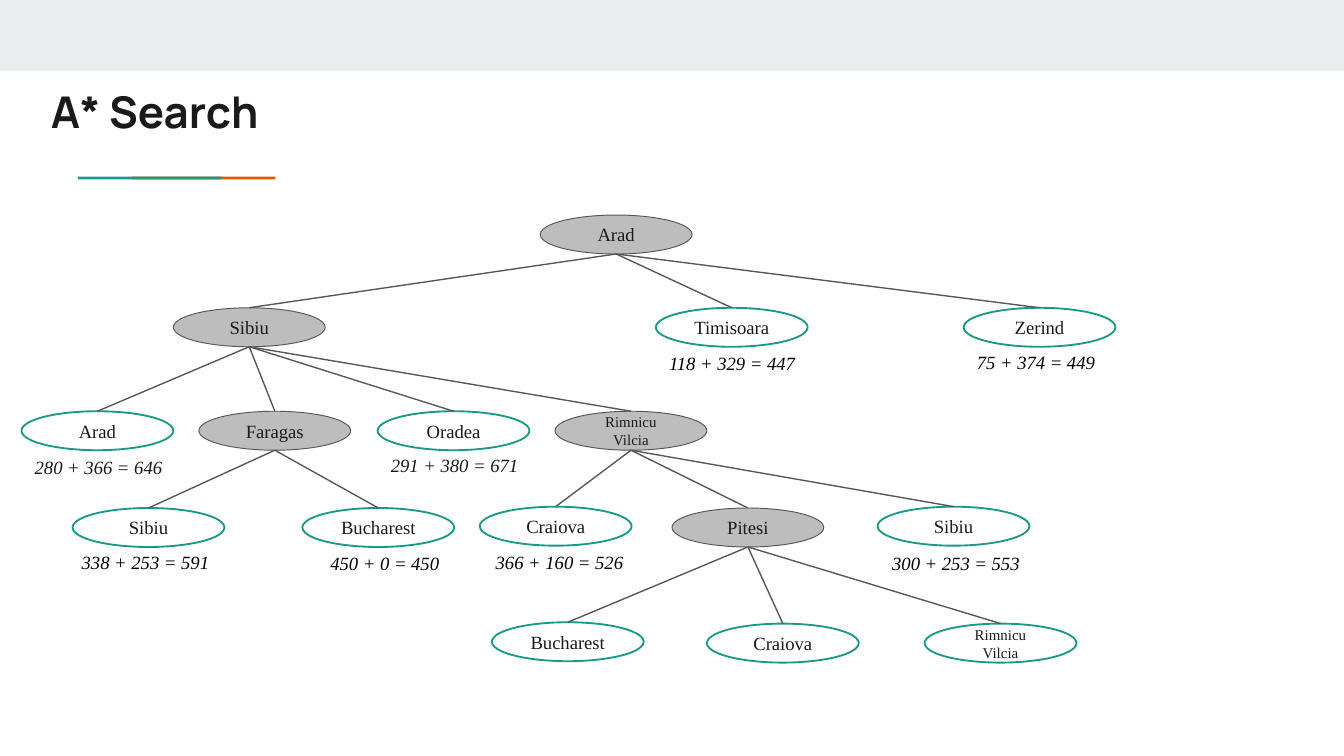
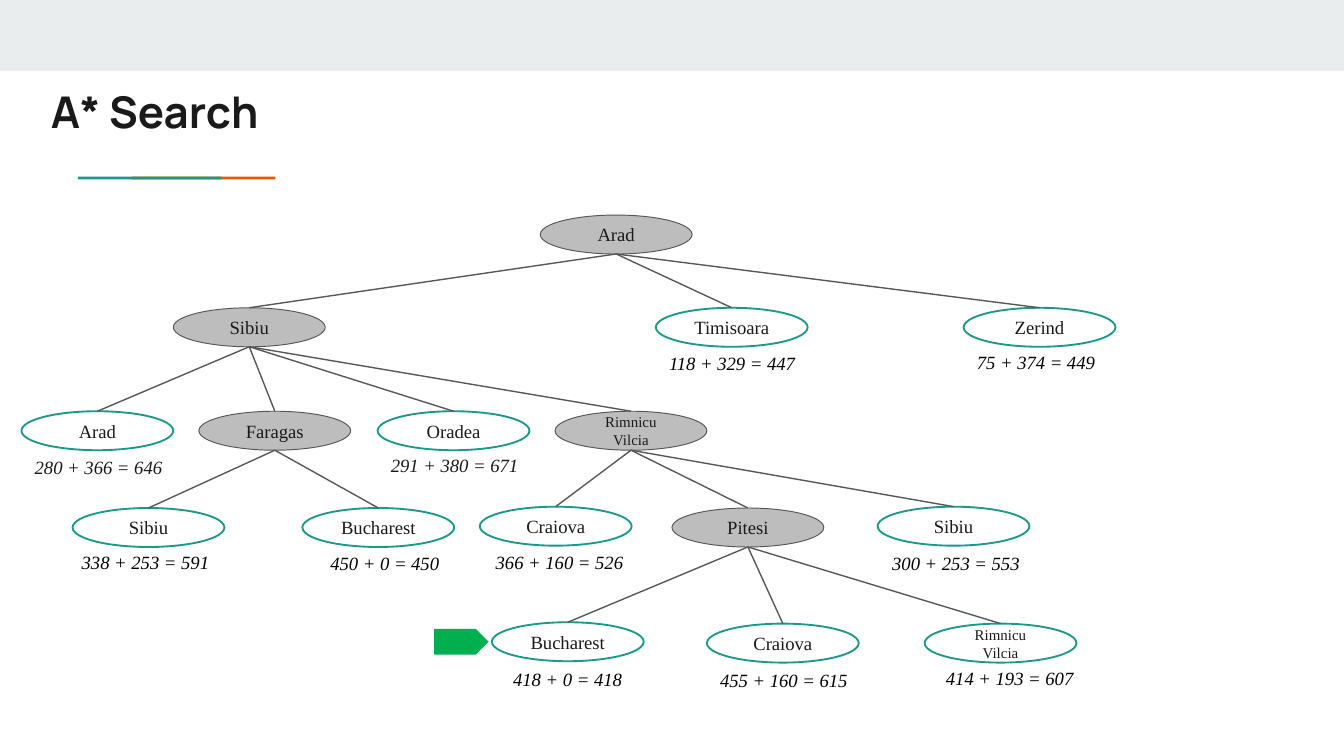
from dataclasses import dataclass

from lxml.etree import SubElement
from pptx import Presentation
from pptx.dml.color import RGBColor
from pptx.enum.shapes import MSO_CONNECTOR, MSO_SHAPE
from pptx.enum.text import MSO_ANCHOR as Anchor, PP_ALIGN as Align
from pptx.oxml.ns import qn
from pptx.util import Inches, Pt

# The grid has 100 square cells across the slide
SLIDE_WIDTH = Inches(10)
SLIDE_HEIGHT = SLIDE_WIDTH * 9 // 16
CELL = SLIDE_WIDTH // 100

INK, BLACK, GRAY, EDGE = "1A1A1A", "000000", "BDBDBD", "575757"
TEAL, ORANGE, GREEN, BAND = "1A9988", "EB5600", "00B050", "E9EDEE"
TITLE_FONT, TREE_FONT = "Manrope", "Times New Roman"

# Boxes are left, top, width, height in cells
HEADER_BOX = (0, 0, 100, 15)
TREE_BOX = (1.6, 16, 81.4, 36)
NODE_WIDTH, NODE_HEIGHT = 11.3, 2.9


@dataclass
class Cost:
    text: str
    shift: float  # from the left of the node
    drop: float  # from the top of the node
    width: float = 14.3
    color: str = BLACK


@dataclass
class Node:
    name: str
    column: float
    row: float
    cost: Cost = None
    children: tuple = ()
    final: bool = False  # cost is shown only once the search is finished
    goal: bool = False


PITESI = Node("Pitesi", 48.4, 21.8, children=(
    Node("Bucharest", 35, 30.3, Cost("418 + 0 = 418", 0.6, 2.9), final=True, goal=True),
    Node("Craiova", 51, 30.4, Cost("455 + 160 = 615", 0, 2.9), final=True),
    Node("Rimnicu\nVilcia", 67.2, 30.4, Cost("414 + 193 = 607", 0.6, 2.7), final=True),
))
RIMNICU = Node("Rimnicu\nVilcia", 39.7, 14.6, children=(
    Node("Craiova", 34.1, 21.7, Cost("366 + 160 = 526", 0.2, 2.8)),
    PITESI,
    Node("Sibiu", 63.7, 21.7, Cost("300 + 253 = 553", 0.1, 2.9)),
))
FARAGAS = Node("Faragas", 13.2, 14.6, children=(
    Node("Sibiu", 3.8, 21.8, Cost("338 + 253 = 591", -0.3, 2.7)),
    Node("Bucharest", 20.9, 21.8, Cost("450 + 0 = 450", 1.1, 2.8)),
))
SIBIU = Node("Sibiu", 11.3, 6.9, children=(
    Node("Arad", 0, 14.6, Cost("280 + 366 = 646", 0, 2.8, 13.8, INK)),
    FARAGAS,
    Node("Oradea", 26.5, 14.6, Cost("291 + 380 = 671", 0, 2.7, 14, INK)),
    RIMNICU,
))
ARAD = Node("Arad", 38.6, 0, children=(
    SIBIU,
    Node("Timisoara", 47.2, 6.9, Cost("118 + 329 = 447", 0, 2.8)),
    Node("Zerind", 70.1, 6.9, Cost("75 + 374 = 449", 0, 2.7, 13)),
))


def rgb(color):
    return RGBColor.from_string(color)


def place(box, *cells):
    """Turn cells relative to a box into slide lengths: left, top, then sizes."""
    left, top, *sizes = cells
    return [round(value * CELL) for value in (box[0] + left, box[1] + top, *sizes)]


def add_shape(slide, kind, area, fill=None, line=None, weight=0):
    shape = slide.shapes.add_shape(kind, *area)
    shape.shadow.inherit = False
    if fill:
        shape.fill.solid()
        shape.fill.fore_color.rgb = rgb(fill)
    else:
        shape.fill.background()
    if line:
        shape.line.color.rgb = rgb(line)
        shape.line.width = Pt(weight)
    else:
        shape.line.fill.background()
    return shape


def write(shape, text, size, color, name=TREE_FONT, align=Align.LEFT, bold=False, italic=False):
    shape.text_frame.text = text
    shape.text_frame.word_wrap = True
    for paragraph in shape.text_frame.paragraphs:
        paragraph.alignment = align
        font = paragraph.font
        font.name, font.size, font.bold, font.italic = name, Pt(size), bold, italic
        font.color.rgb = rgb(color)


def add_header(slide, box, title):
    # Top band and two-coloured rule
    add_shape(slide, MSO_SHAPE.RECTANGLE, place(box, 0, 0, box[2], 5.3), BAND)
    for left, color in ((9.8, ORANGE), (5.8, TEAL)):
        add_shape(slide, MSO_SHAPE.RECTANGLE, place(box, left, 13.15, 10.7, 0.2), color)
    # Title
    title_box = slide.shapes.add_textbox(*place(box, 2.8, 5.3, 17.9, 5.9))
    frame = title_box.text_frame
    frame.margin_left = frame.margin_right = frame.margin_top = frame.margin_bottom = CELL
    write(title_box, title, 23.4, INK, TITLE_FONT, bold=True)


def add_edge(slide, box, parent, child):
    middle = NODE_WIDTH / 2
    start = place(box, parent.column + middle, parent.row + NODE_HEIGHT)
    end = place(box, child.column + middle, child.row)
    edge = slide.shapes.add_connector(MSO_CONNECTOR.STRAIGHT, *start, *end)
    edge.line.color.rgb = rgb(EDGE)
    edge.line.width = Pt(0.75)
    SubElement(edge._element.spPr, qn("a:effectLst"))


def add_tree(slide, box, node, finished):
    # Expanded nodes are gray, open ones are outlined
    style = (GRAY, EDGE, 0.5) if node.children else (None, TEAL, 1)
    area = place(box, node.column, node.row, NODE_WIDTH, NODE_HEIGHT)
    oval = add_shape(slide, MSO_SHAPE.OVAL, area, *style)
    oval.text_frame.vertical_anchor = Anchor.MIDDLE
    write(oval, node.name, 8 if "\n" in node.name else 10, INK, align=Align.CENTER)

    # Path cost plus estimate
    cost = node.cost
    if cost and (finished or not node.final):
        area = place(box, node.column + cost.shift, node.row + cost.drop, cost.width, 2.7)
        write(slide.shapes.add_textbox(*area), cost.text, 10, cost.color, italic=True)

    # Marker at the goal
    if node.goal and finished:
        area = place(box, node.column - 4.3, node.row + 0.5, 4.05, 1.9)
        add_shape(slide, MSO_SHAPE.PENTAGON, area, GREEN)

    for child in node.children:
        add_tree(slide, box, child, finished)
        add_edge(slide, box, node, child)


def add_search_slide(presentation, finished):
    slide = presentation.slides.add_slide(presentation.slide_layouts[6])
    add_header(slide, HEADER_BOX, "A* Search")
    add_tree(slide, TREE_BOX, ARAD, finished)


def main():
    presentation = Presentation()
    presentation.slide_width, presentation.slide_height = SLIDE_WIDTH, SLIDE_HEIGHT
    for finished in (False, True):
        add_search_slide(presentation, finished)
    presentation.save("out.pptx")


if __name__ == "__main__":
    main()
